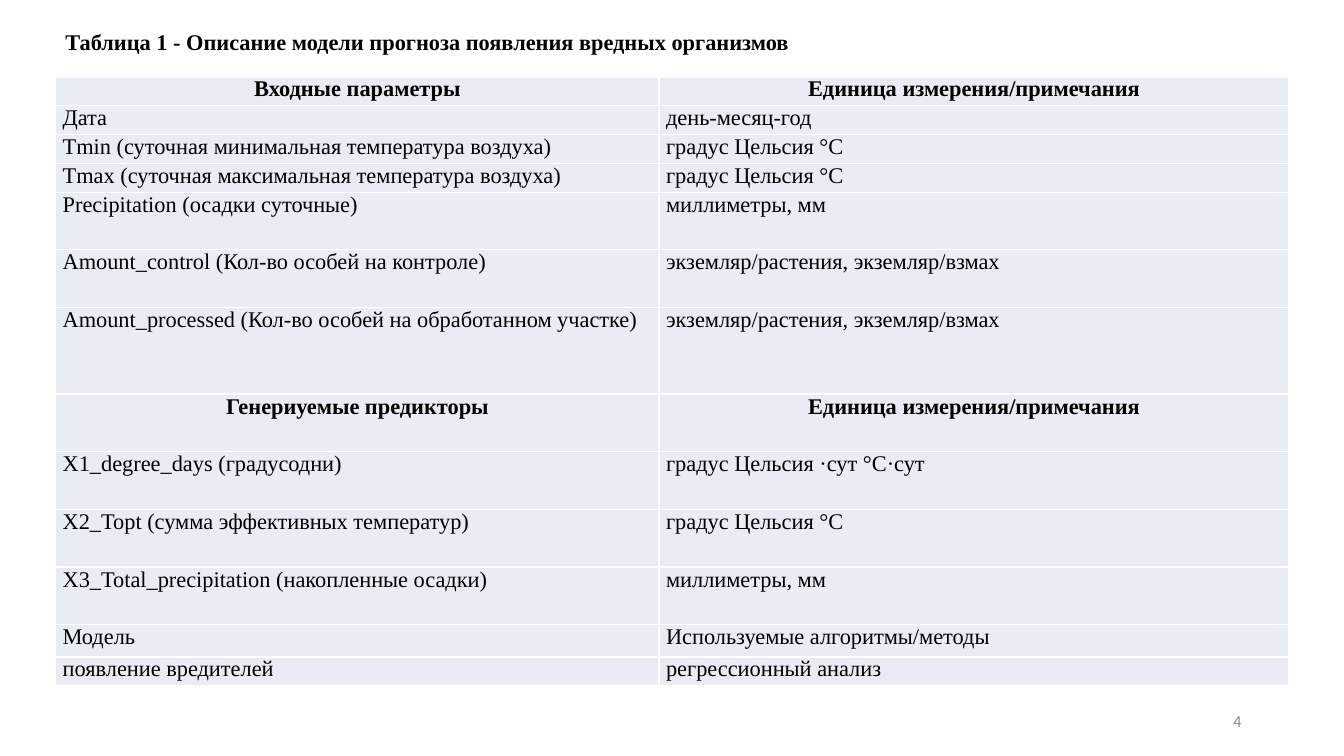
from dataclasses import dataclass
from typing import Any

from lxml.etree import SubElement
from pptx import Presentation
from pptx.dml.color import RGBColor
from pptx.enum.text import MSO_ANCHOR, PP_ALIGN
from pptx.oxml.ns import qn
from pptx.slide import Slide
from pptx.table import Table, _Cell
from pptx.text.text import TextFrame
from pptx.util import Pt

BLACK = RGBColor(0x00, 0x00, 0x00)
GREY = RGBColor(0x8C, 0x8C, 0x8C)
WHITE = RGBColor(0xFF, 0xFF, 0xFF)
PALE_BLUE = RGBColor(0xE9, 0xEB, 0xF5)

LINE_HEIGHT = 20.6
COLUMN_WIDTHS = (431, 450)
CELL_FORMAT = {
    "margin_left": Pt(5),
    "margin_right": Pt(5),
    "margin_top": Pt(0),
    "margin_bottom": Pt(0),
    "vertical_anchor": MSO_ANCHOR.TOP,
}
TABLE_FORMAT = {"first_row": False, "horz_banding": False}
BODY_FONT = {"name": "Times New Roman", "size": Pt(16), "bold": False}
HEADING_FONT = {**BODY_FONT, "bold": True}
NUMBER_FONT = {"name": "Calibri", "size": Pt(12), "bold": False}


@dataclass(frozen=True)
class Row:
    parameter: str
    unit: str
    lines: float = 1
    heading: bool = False


@dataclass(frozen=True)
class Caption:
    text: str
    left: float
    top: float
    width: float
    height: float
    alignment: PP_ALIGN
    font: dict[str, Any]
    color: RGBColor


UNIT_HEADING = "Единица измерения/примечания"
CELSIUS = "градус Цельсия °C"
MILLIMETRES = "миллиметры, мм"
SPECIMENS = "экземляр/растения, экземляр/взмах"

ROWS = (
    Row("Входные параметры", UNIT_HEADING, heading=True),
    Row("Дата", "день-месяц-год"),
    Row("Тmin (суточная минимальная температура воздуха)", CELSIUS),
    Row("Тmax (суточная максимальная температура воздуха)", CELSIUS),
    Row("Precipitation (осадки суточные)", MILLIMETRES, 2),
    Row("Amount_control (Кол-во особей на контроле)", SPECIMENS, 2),
    Row("Amount_processed (Кол-во особей на обработанном участке)", SPECIMENS, 3),
    Row("Генериуемые предикторы", UNIT_HEADING, 2, heading=True),
    Row("X1_degree_days (градусодни)", "градус Цельсия ·сут °C·сут", 2),
    Row("X2_Topt (сумма эффективных температур)", CELSIUS, 2),
    Row("X3_Total_precipitation (накопленные осадки)", MILLIMETRES, 2),
    Row("Модель", "Используемые алгоритмы/методы", 1.12),
    Row("появление вредителей", "регрессионный анализ"),
)

CAPTIONS = (
    Caption("Таблица 1 - Описание модели прогноза появления вредных организмов",
            39.6, 16.6, 659.5, 26.6, PP_ALIGN.JUSTIFY, HEADING_FONT, BLACK),
    Caption("4", 678, 500.5, 216, 28.8, PP_ALIGN.RIGHT, NUMBER_FONT, GREY),
)


def apply_format(target: Any, values: dict[str, Any]) -> None:
    for attribute, value in values.items():
        setattr(target, attribute, value)


def write_text(frame: TextFrame, text: str, alignment: PP_ALIGN,
               font: dict[str, Any], color: RGBColor) -> None:
    paragraph = frame.paragraphs[0]
    paragraph.alignment = alignment
    run = paragraph.add_run()
    run.text = text
    apply_format(run.font, font)
    run.font.color.rgb = color


def add_borders(cell: _Cell) -> None:
    properties = cell._tc.get_or_add_tcPr()
    for side in ("a:lnL", "a:lnR", "a:lnT", "a:lnB"):
        border = SubElement(properties, qn(side), w=str(Pt(1)))
        line_fill = SubElement(border, qn("a:solidFill"))
        SubElement(line_fill, qn("a:srgbClr"), val=str(WHITE))


def fill_row(table: Table, index: int, row: Row) -> None:
    table.rows[index].height = Pt(row.lines * LINE_HEIGHT)
    alignment = PP_ALIGN.CENTER if row.heading else PP_ALIGN.JUSTIFY
    font = HEADING_FONT if row.heading else BODY_FONT
    for column, text in enumerate((row.parameter, row.unit)):
        cell = table.cell(index, column)
        apply_format(cell, CELL_FORMAT)
        add_borders(cell)
        cell.fill.solid()
        cell.fill.fore_color.rgb = PALE_BLUE
        write_text(cell.text_frame, text, alignment, font, BLACK)


def add_parameter_table(slide: Slide) -> None:
    height = LINE_HEIGHT * sum(row.lines for row in ROWS)
    table = slide.shapes.add_table(
        len(ROWS), len(COLUMN_WIDTHS),
        Pt(39.8), Pt(55), Pt(sum(COLUMN_WIDTHS)), Pt(height),
    ).table
    apply_format(table, TABLE_FORMAT)
    for column, width in zip(table.columns, COLUMN_WIDTHS):
        column.width = Pt(width)
    for index, row in enumerate(ROWS):
        fill_row(table, index, row)


def add_caption(slide: Slide, caption: Caption) -> None:
    frame = slide.shapes.add_textbox(
        Pt(caption.left), Pt(caption.top), Pt(caption.width), Pt(caption.height)
    ).text_frame
    apply_format(frame, {"word_wrap": True, "vertical_anchor": MSO_ANCHOR.MIDDLE})
    write_text(frame, caption.text, caption.alignment, caption.font, caption.color)


def main() -> None:
    presentation = Presentation()
    apply_format(presentation, {"slide_width": Pt(960), "slide_height": Pt(540)})
    slide = presentation.slides.add_slide(presentation.slide_layouts[6])
    add_parameter_table(slide)
    for caption in CAPTIONS:
        add_caption(slide, caption)
    presentation.save("out.pptx")


if __name__ == "__main__":
    main()
